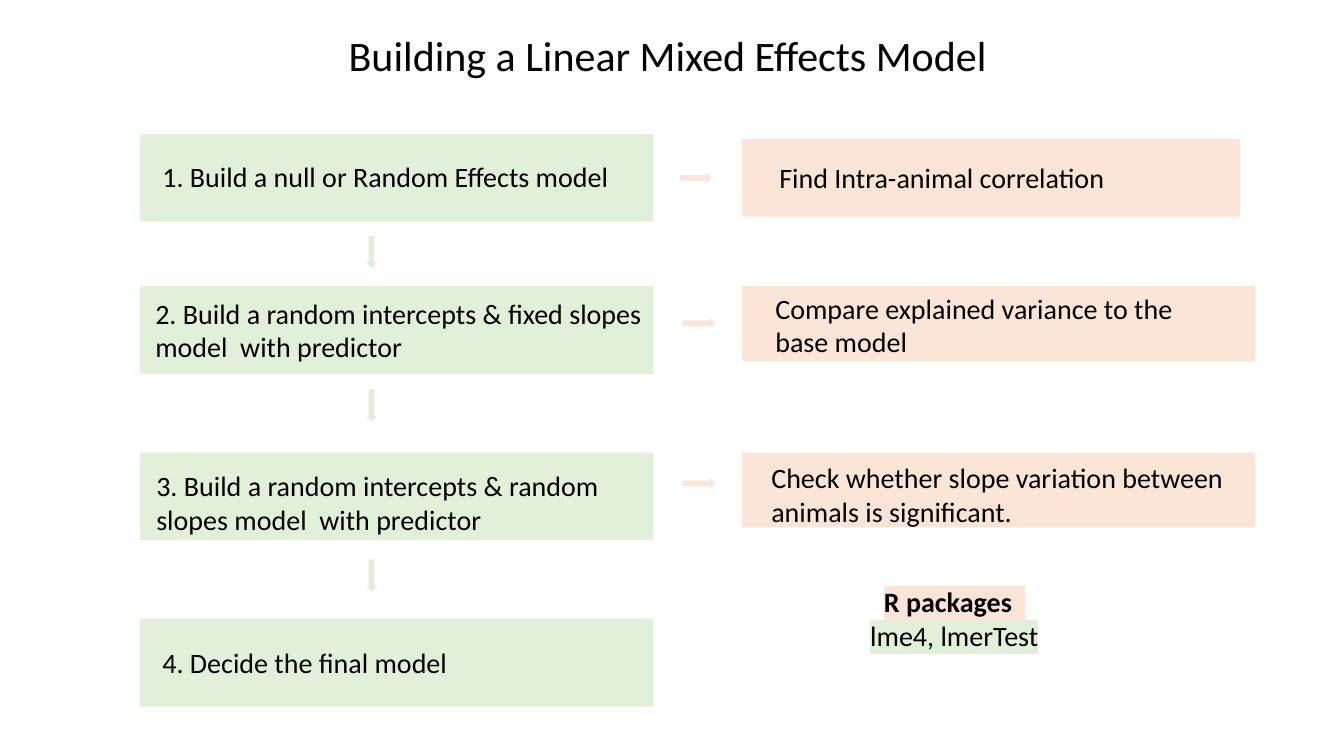
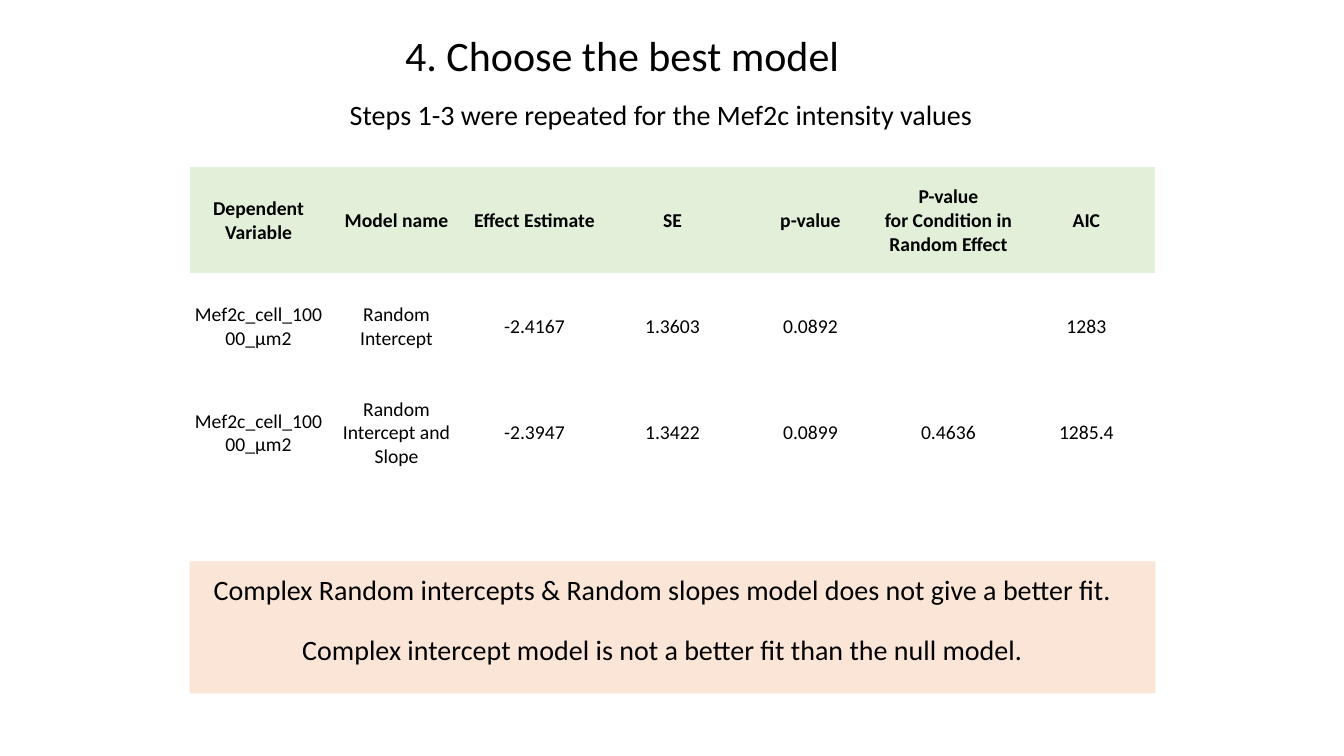
from dataclasses import dataclass

from lxml import etree
from pptx import Presentation
from pptx.dml.color import RGBColor
from pptx.enum.shapes import MSO_SHAPE
from pptx.enum.text import MSO_ANCHOR, PP_ALIGN
from pptx.oxml.ns import qn
from pptx.util import Inches, Pt

RECTANGLE = MSO_SHAPE.RECTANGLE
RIGHT_ARROW = MSO_SHAPE.RIGHT_ARROW
DOWN_ARROW = MSO_SHAPE.DOWN_ARROW
LEFT, CENTER = PP_ALIGN.LEFT, PP_ALIGN.CENTER
TOP, MIDDLE = MSO_ANCHOR.TOP, MSO_ANCHOR.MIDDLE
NO_TABLE_STYLE = "{2D5ABB26-0587-4C30-8999-92F81FD0307C}"


@dataclass(frozen=True)
class Theme:
    font: str = "Calibri"
    text: str = "000000"
    green: str = "E2F0D9"
    orange: str = "FBE5D6"
    title: float = 30
    body: float = 20
    cell: float = 14


THEME = Theme()


def write(frame, text, size=THEME.body, bold=False, align=LEFT, anchor=TOP,
          insets=(0.1, 0.05, 0.1, 0.05), highlights=(), space_before=0):
    """Fill a text frame, one paragraph a line; insets run left, top, right, bottom."""
    frame.word_wrap = True
    frame.vertical_anchor = anchor
    (frame.margin_left, frame.margin_top,
     frame.margin_right, frame.margin_bottom) = map(Inches, insets)
    for index, line in enumerate(text.split("\n")):
        para = frame.add_paragraph() if index else frame.paragraphs[0]
        para.alignment = align
        if index and space_before:
            para.space_before = Pt(space_before)
        span = para.add_run()
        span.text = line
        span.font.size = Pt(size)
        span.font.bold = bold
        span.font.color.rgb = RGBColor.from_string(THEME.text)
        if highlights:
            span.font.bold = index == 0
            properties = span.font._element
            mark = etree.SubElement(properties, qn("a:highlight"))
            etree.SubElement(mark, qn("a:srgbClr"), val=highlights[index])
        span.font.name = THEME.font


def add_block(page, kind, left, top, width, height, color):
    block = page.shapes.add_shape(
        kind, Inches(left), Inches(top), Inches(width), Inches(height))
    block.shadow.inherit = False
    block.fill.solid()
    block.fill.fore_color.rgb = RGBColor.from_string(color)
    block.line.fill.background()
    return block


deck = Presentation()
deck.slide_width, deck.slide_height = Inches(13.33), Inches(7.5)

# Pages with their titles
pages = []
for title, left in (("Building a Linear Mixed Effects Model", 3.36),
                    ("4. Choose the best model", 3.92)):
    page = deck.slides.add_slide(deck.slide_layouts[6])
    box = page.shapes.add_textbox(
        Inches(left), Inches(0.24), Inches(6.61), Inches(0.61))
    write(box.text_frame, title, size=THEME.title)
    pages.append(page)
steps_page, choice_page = pages

# Steps: text, top, left inset, top inset
steps = [
    ("1. Build a null or Random Effects model", 1.33, 0.22, 0.25),
    ("2. Build a random intercepts & fixed slopes model  with predictor", 2.84, 0.15, 0.1),
    ("3. Build a random intercepts & random slopes model  with predictor", 4.49, 0.16, 0.16),
    ("4. Decide the final model", 6.14, 0.22, 0.26),
]
for text, top, inset_left, inset_top in steps:
    step = add_block(steps_page, RECTANGLE, 1.39, top, 5.09, 0.87, THEME.green)
    write(step.text_frame, text, insets=(inset_left, inset_top, 0.1, 0))
for top in (2.34, 3.86, 5.55):
    add_block(steps_page, DOWN_ARROW, 3.63, top, 0.11, 0.32, THEME.green)

# Checks: text, top, width, height, left inset, top inset, arrow left, arrow top
checks = [
    ("Find Intra-animal correlation", 1.38, 4.94, 0.77, 0.37, 0.21, 6.74, 1.71),
    ("Compare explained variance to the base model",
     2.84, 5.09, 0.74, 0.33, 0.05, 6.77, 3.15),
    ("Check whether slope variation between animals is significant.",
     4.49, 5.09, 0.74, 0.29, 0.08, 6.77, 4.74),
]
for text, top, width, height, inset_left, inset_top, arrow_left, arrow_top in checks:
    check = add_block(steps_page, RECTANGLE, 7.36, top, width, height, THEME.orange)
    write(check.text_frame, text, insets=(inset_left, inset_top, 0.3, 0))
    add_block(steps_page, RIGHT_ARROW, arrow_left, arrow_top, 0.32, 0.11, THEME.orange)

# Packages
packages = steps_page.shapes.add_textbox(
    Inches(8.29), Inches(5.75), Inches(2.35), Inches(0.77))
write(packages.text_frame, "R packages  \nlme4, lmerTest", align=CENTER,
      highlights=(THEME.orange, THEME.green))

# Subtitle of the choice page
subtitle = choice_page.shapes.add_textbox(
    Inches(3.37), Inches(0.92), Inches(6.59), Inches(0.44))
write(subtitle.text_frame, "Steps 1-3 were repeated for the Mef2c intensity values")

# Model table
rows = [
    ("Dependent Variable", "Model name", "Effect Estimate", "SE", "p-value",
     "P-value\nfor Condition in Random Effect", "AIC"),
    ("Mef2c_cell_10000_µm2", "Random Intercept", "-2.4167", "1.3603", "0.0892", "", "1283"),
    ("Mef2c_cell_10000_µm2", "Random Intercept and Slope", "-2.3947", "1.3422", "0.0899",
     "0.4636", "1285.4"),
]
table = choice_page.shapes.add_table(
    len(rows), len(rows[0]), Inches(1.88), Inches(1.66), Inches(9.58), Inches(3.16)).table
table.first_row = table.horz_banding = False
table._tbl.tblPr.find(qn("a:tableStyleId")).text = NO_TABLE_STYLE
for row_index, row in enumerate(rows):
    for column_index, text in enumerate(row):
        cell = table.cell(row_index, column_index)
        is_header = row_index == 0
        if is_header:
            cell.fill.solid()
            cell.fill.fore_color.rgb = RGBColor.from_string(THEME.green)
        else:
            cell.fill.background()
        write(cell.text_frame, text, size=THEME.cell, bold=is_header, align=CENTER)
        cell.vertical_anchor = MIDDLE
        cell.margin_left = cell.margin_top = cell.margin_right = Inches(0.01)
        cell.margin_bottom = 0

# Conclusion
conclusion = add_block(choice_page, RECTANGLE, 1.88, 5.57, 9.58, 1.31, THEME.orange)
write(conclusion.text_frame,
      "Complex Random intercepts & Random slopes model does not give a better fit.\n"
      "Complex intercept model is not a better fit than the null model.",
      align=CENTER, insets=(0, 0.11, 0.2, 0), space_before=19)

deck.save("out.pptx")
